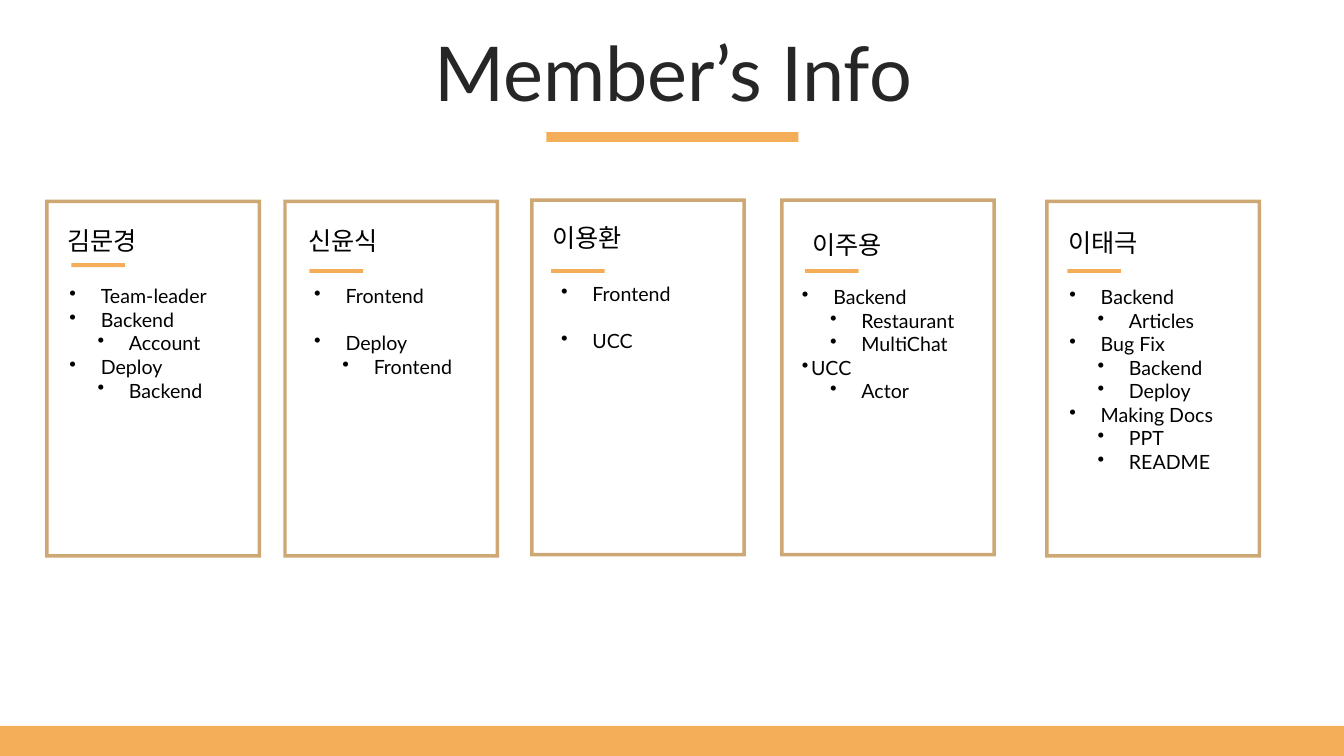
from dataclasses import dataclass
from typing import NamedTuple

from lxml import etree
from pptx import Presentation
from pptx.dml.color import RGBColor
from pptx.enum.shapes import MSO_SHAPE
from pptx.enum.text import MSO_ANCHOR, PP_ALIGN
from pptx.oxml.ns import qn
from pptx.shapes.autoshape import Shape
from pptx.slide import Slide
from pptx.util import Cm, Pt

RECTANGLE = MSO_SHAPE.RECTANGLE
FRAME = MSO_SHAPE.FRAME
CENTER = PP_ALIGN.CENTER
MIDDLE = MSO_ANCHOR.MIDDLE

ORANGE = RGBColor(0xF4, 0xAE, 0x59)
TAN = RGBColor(0xCD, 0xA8, 0x74)
CHARCOAL = RGBColor(0x26, 0x26, 0x26)
BLACK = RGBColor(0, 0, 0)
FONT = "Lato"

SLIDE_WIDTH, SLIDE_HEIGHT = 33.87, 19.05
CARD_WIDTH, CARD_HEIGHT = 5.44, 9.02
RULE_WIDTH, RULE_HEIGHT = 1.35, 0.1
NAME_HEIGHT = 1.02
HANGING = 0.79
TEXT_INDENTS = (0.79, 1.5)
EMPTY_LINE = 16.8


class Box(NamedTuple):
    """Left, top, width and height in centimetres."""
    left: float
    top: float
    width: float
    height: float

    def lengths(self) -> tuple[Cm, ...]:
        return tuple(Cm(value) for value in self)


class Task(NamedTuple):
    text: str
    level: int = 0
    space_before: float = 0
    indent: float | None = None


@dataclass
class Member:
    name: str
    card: Box
    rule: Box
    name_box: Box
    task_box: Box
    tasks: list[Task]


def card_box(left: float, top: float) -> Box:
    return Box(left, top, CARD_WIDTH, CARD_HEIGHT)


def rule_box(left: float, top: float = 6.78) -> Box:
    return Box(left, top, RULE_WIDTH, RULE_HEIGHT)


def name_box(left: float, top: float, width: float) -> Box:
    return Box(left, top, width, NAME_HEIGHT)


MEMBERS = [
    Member("김문경", card_box(1.14, 5.03), rule_box(1.8, 6.63),
           name_box(1.45, 5.56, 4.01), Box(1.5, 7.04, 4.9, 4.01),
           [Task("Team-leader"), Task("Backend"), Task("Account", 1),
            Task("Deploy"), Task("Backend", 1)]),
    Member("신윤식", card_box(7.14, 5.03), rule_box(7.8),
           name_box(7.52, 5.56, 2.62), Box(7.67, 7.04, 3.99, 2.64),
           [Task("Frontend"), Task("Deploy", space_before=EMPTY_LINE),
            Task("Frontend", 1)]),
    Member("이용환", card_box(13.36, 5), rule_box(13.89),
           name_box(13.67, 5.49, 4.37), Box(13.89, 6.99, 4.24, 2.82),
           [Task("Frontend"), Task("UCC", space_before=EMPTY_LINE)]),
    Member("이주용", card_box(19.66, 5), rule_box(20.29),
           name_box(20.22, 5.66, 3.18), Box(19.96, 7.06, 4.98, 3.25),
           [Task("Backend"), Task("Restaurant", 1), Task("MultiChat", 1),
            Task("UCC", indent=0.23), Task("Actor", 1)]),
    Member("이태극", card_box(26.34, 5.03), rule_box(26.9),
           name_box(26.67, 5.61, 3.63), Box(26.7, 7.06, 5.89, 5.05),
           [Task("Backend"), Task("Articles", 1), Task("Bug Fix"),
            Task("Backend", 1), Task("Deploy", 1), Task("Making Docs"),
            Task("PPT", 1), Task("README", 1)]),
]


def add_filled_shape(slide: Slide, kind: MSO_SHAPE, box: Box, color: RGBColor) -> Shape:
    shape = slide.shapes.add_shape(kind, *box.lengths())
    shape.shadow.inherit = False
    shape.fill.solid()
    shape.fill.fore_color.rgb = color
    shape.line.fill.background()
    return shape


def add_text(slide: Slide, box: Box, text: str, size: float, color: RGBColor = BLACK) -> Shape:
    """Add a wrapping text box with one paragraph per line of text."""
    shape = slide.shapes.add_textbox(*box.lengths())
    shape.text_frame.word_wrap = True
    shape.text_frame.text = text
    for paragraph in shape.text_frame.paragraphs:
        paragraph.font.name = FONT
        paragraph.font.size = Pt(size)
        paragraph.font.color.rgb = color
    return shape


def add_tasks(slide: Slide, box: Box, tasks: list[Task]) -> None:
    shape = add_text(slide, box, "\n".join(task.text for task in tasks), 14)
    for paragraph, task in zip(shape.text_frame.paragraphs, tasks):
        paragraph.level = task.level
        indent = TEXT_INDENTS[task.level] if task.indent is None else task.indent
        properties = paragraph._p.get_or_add_pPr()
        properties.set("marL", str(Cm(indent)))
        properties.set("indent", str(Cm(-HANGING)))
        bullet = etree.Element(qn("a:buChar"), char="•")
        properties.find(qn("a:defRPr")).addprevious(bullet)
        if task.space_before:
            paragraph.space_before = Pt(task.space_before)


def add_member(slide: Slide, member: Member) -> None:
    add_filled_shape(slide, RECTANGLE, member.rule, ORANGE)
    frame = add_filled_shape(slide, FRAME, member.card, TAN)
    frame.adjustments[0] = 0.016
    add_text(slide, member.name_box, member.name, 18)
    add_tasks(slide, member.task_box, member.tasks)


def add_title(slide: Slide) -> None:
    title = add_text(slide, Box(0.89, 0.94, 32.16, 2.01), "Member’s Info", 54, CHARCOAL)
    title.text_frame.vertical_anchor = MIDDLE
    paragraph = title.text_frame.paragraphs[0]
    paragraph.alignment = CENTER
    paragraph.line_spacing = 0.9


def main() -> None:
    presentation = Presentation()
    presentation.slide_width = Cm(SLIDE_WIDTH)
    presentation.slide_height = Cm(SLIDE_HEIGHT)
    slide = presentation.slides.add_slide(presentation.slide_layouts[6])
    add_filled_shape(slide, RECTANGLE, Box(13.77, 3.33, 6.35, 0.25), ORANGE)
    add_filled_shape(slide, RECTANGLE, Box(0, 18.29, SLIDE_WIDTH, 0.76), ORANGE)
    add_title(slide)
    for member in MEMBERS:
        add_member(slide, member)
    presentation.save("out.pptx")


if __name__ == "__main__":
    main()
